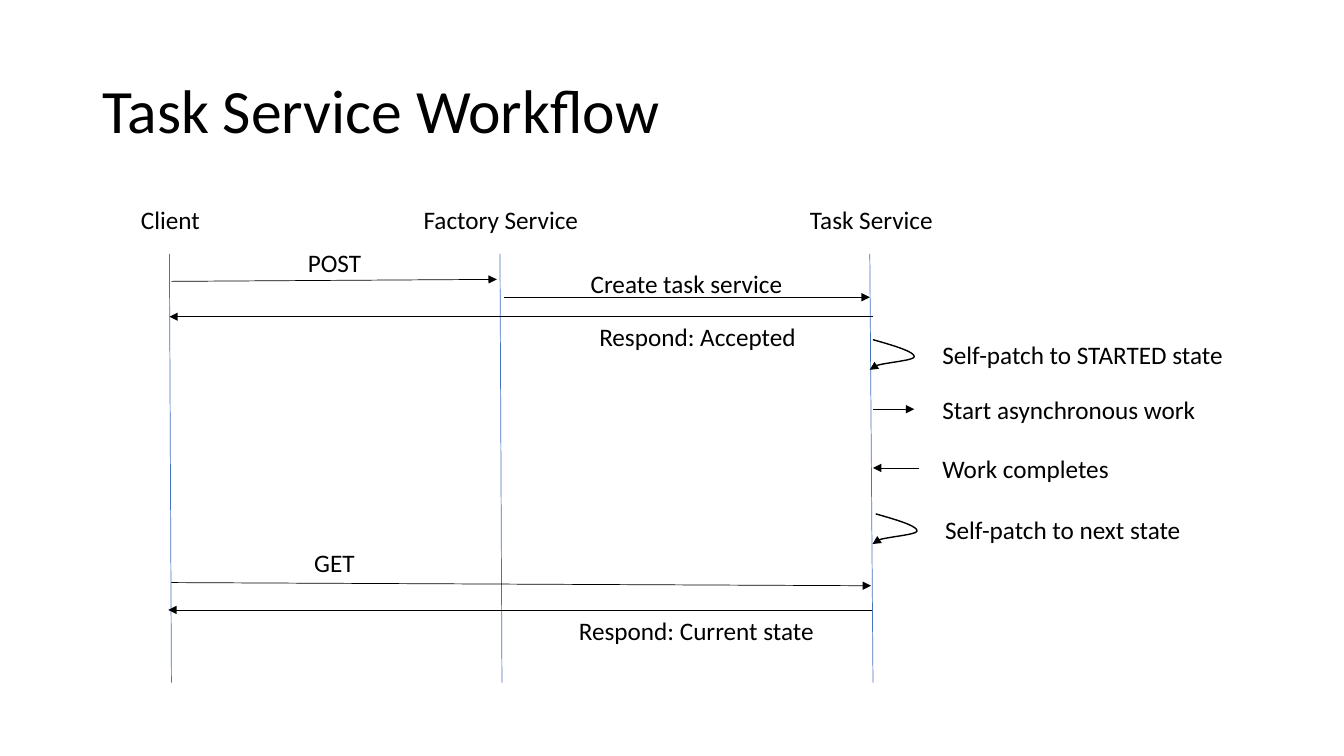
from lxml import etree
from pptx import Presentation
from pptx.dml.color import RGBColor
from pptx.enum import shapes, text
from pptx.oxml import ns
from pptx.util import Cm, Pt

# Content: lengths in cm
COLORS = {"ink": "000000", "lifeline": "4472C4"}
FONT = "Calibri"
TITLE = "Task Service Workflow"

# Participant, lifeline x at the top and at the bottom
PARTICIPANTS = [
    ("Client", 4.27, 4.32),
    ("Factory Service", 12.6, 12.65),
    ("Task Service", 21.92, 22),
]
# Message, arrow start, arrow end, label centre x, label top
MESSAGES = [
    ("POST", (4.32, 7.09), (12.52, 7.04), 8.43, 6.12),
    ("Create task service", (12.7, 7.49), (21.92, 7.49), 17.3, 6.63),
    ("Respond: Accepted", (22, 7.98), (4.27, 7.98), 17.58, 7.98),
    ("GET", (4.32, 14.68), (21.95, 14.76), 8.43, 13.67),
    ("Respond: Current state", (21.97, 15.37), (4.24, 15.37), 17.55, 15.37),
]
# Task step, arrow start, arrow end (None for a loop back), label left and top
STEPS = [
    ("Self-patch to STARTED state", (22, 8.56), None, (23.5, 8.43)),
    ("Start asynchronous work", (22, 10.31), (23.04, 10.31), (23.5, 9.8)),
    ("Work completes", (23.16, 11.79), (22, 11.79), (23.5, 11.3)),
    ("Self-patch to next state", (22.07, 12.95), None, (23.57, 12.83)),
]
# Bezier control points of a loop, relative to its start
LOOP = [
    [(0, 0), (0.53, 0.15), (1.04, 0.3), (1.04, 0.43)],
    [(1.04, 0.43), (1.02, 0.56), (-0.08, 0.58), (-0.08, 0.76)],
]
LOOP_STEPS = 16
LIFELINE_TOP, LIFELINE_BOTTOM = 6.4, 17.2
HEADING_TOP, LABEL_WIDTH, LABEL_HEIGHT = 5.03, 8, 1.02

deck = Presentation()
deck.slide_width, deck.slide_height = Cm(33.87), Cm(19.05)
slide = deck.slides.add_slide(deck.slide_layouts[6])


def add_label(words, left, top, width=LABEL_WIDTH, height=LABEL_HEIGHT,
              size=18, align=text.PP_ALIGN.LEFT):
    box = slide.shapes.add_textbox(Cm(left), Cm(top), Cm(width), Cm(height))
    box.text_frame.word_wrap = True
    paragraph = box.text_frame.paragraphs[0]
    paragraph.text, paragraph.alignment = words, align
    paragraph.font.name, paragraph.font.size = FONT, Pt(size)
    paragraph.font.color.rgb = RGBColor.from_string(COLORS["ink"])
    return box.text_frame


def add_centred(words, centre, top):
    add_label(words, centre - LABEL_WIDTH / 2, top, align=text.PP_ALIGN.CENTER)


def style_line(shape, color, width, arrow):
    shape.line.color.rgb = RGBColor.from_string(COLORS[color])
    shape.line.width = Pt(width)
    if arrow:
        etree.SubElement(shape.line._get_or_add_ln(), ns.qn("a:tailEnd"), type="triangle")


def add_line(start, end, color="ink", arrow=True):
    line = slide.shapes.add_connector(
        shapes.MSO_CONNECTOR.STRAIGHT, *(Cm(v) for v in (*start, *end)))
    style_line(line, color, 0.5, arrow)
    etree.SubElement(line._element.spPr, ns.qn("a:effectLst"))


def bezier(controls, t):
    weights = ((1 - t) ** 3, 3 * t * (1 - t) ** 2, 3 * t * t * (1 - t), t ** 3)
    return [sum(w * point[axis] for w, point in zip(weights, controls)) for axis in (0, 1)]


def add_loop(start):
    offsets = [bezier(curve, i / LOOP_STEPS)
               for curve in LOOP for i in range(1, LOOP_STEPS + 1)]
    builder = slide.shapes.build_freeform(Cm(start[0]), Cm(start[1]))
    builder.add_line_segments(
        [(Cm(start[0] + dx), Cm(start[1] + dy)) for dx, dy in offsets], close=False)
    loop = builder.convert_to_shape()
    loop.shadow.inherit = False
    loop.fill.background()
    style_line(loop, "ink", 1, True)


# Title
title = add_label(TITLE, 2.33, 1.02, 29.21, 3.68, size=44)
title.vertical_anchor = text.MSO_ANCHOR.MIDDLE
title.paragraphs[0].line_spacing = 0.9

# Participants with their lifelines
for name, top_x, bottom_x in PARTICIPANTS:
    add_line((top_x, LIFELINE_TOP), (bottom_x, LIFELINE_BOTTOM), "lifeline", arrow=False)
    add_centred(name, (top_x + bottom_x) / 2, HEADING_TOP)

# Messages between participants
for message, start, end, centre, top in MESSAGES:
    add_line(start, end)
    add_centred(message, centre, top)

# Steps within the task service
for step, start, end, label_at in STEPS:
    if end:
        add_line(start, end)
    else:
        add_loop(start)
    add_label(step, *label_at)

deck.save("out.pptx")
